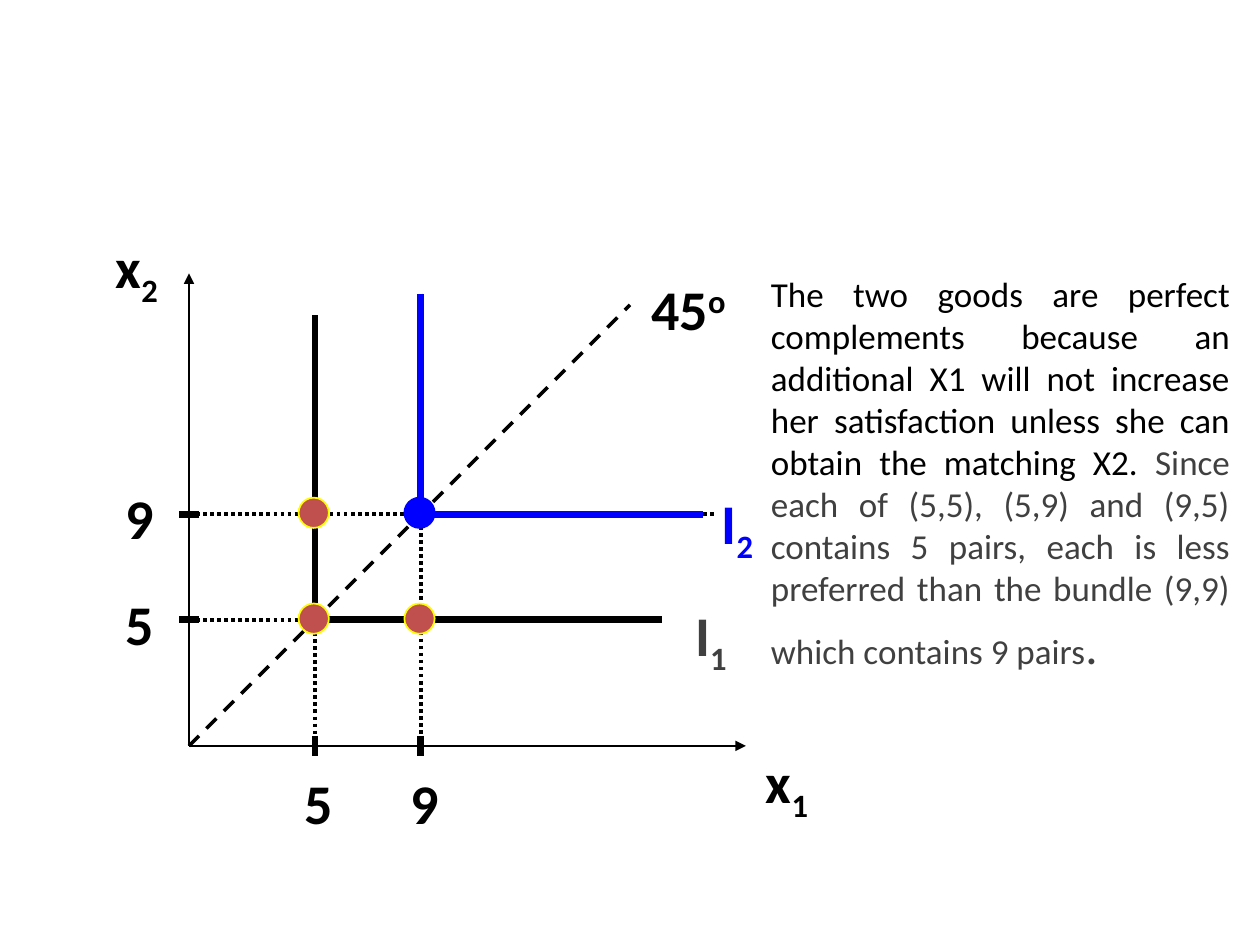
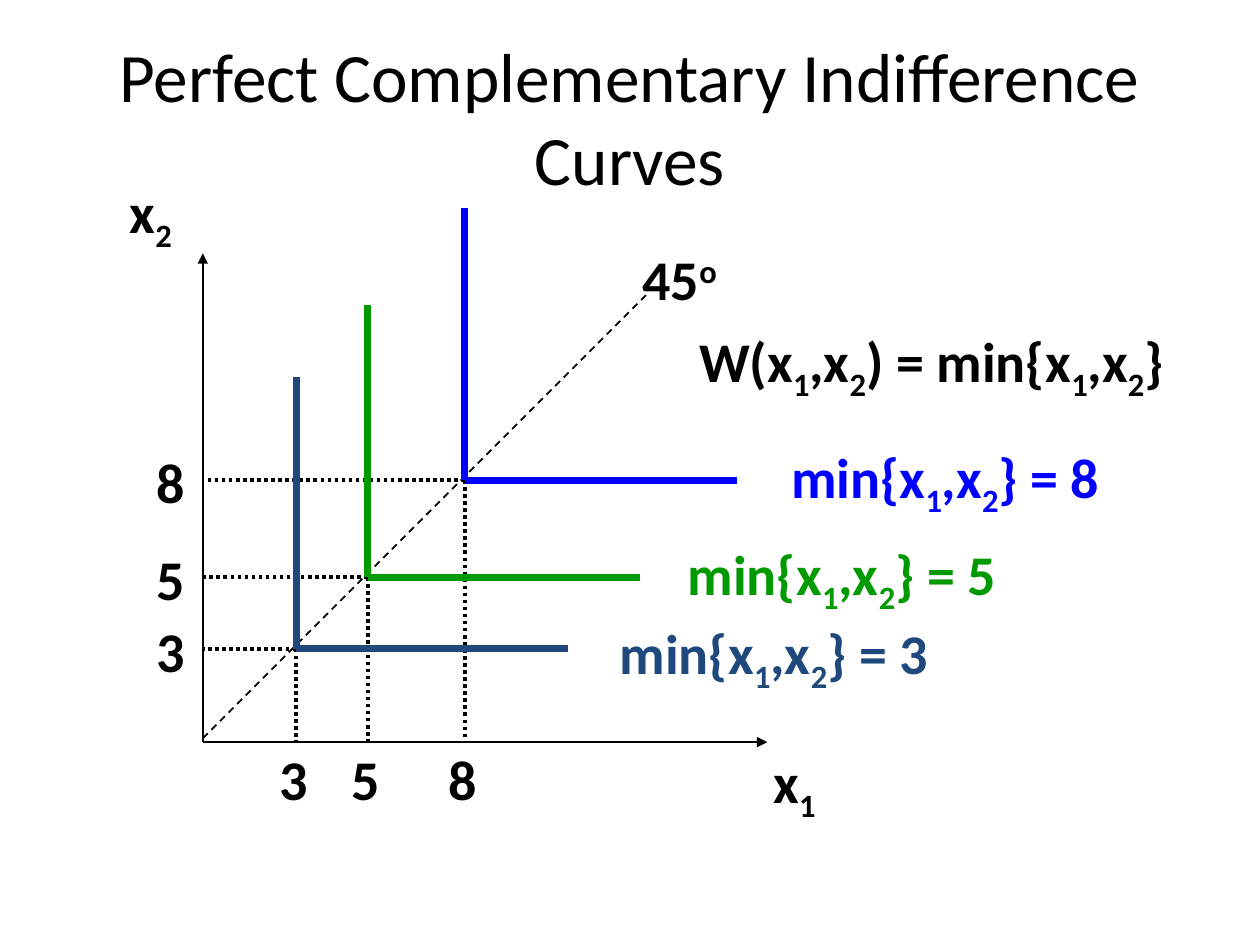
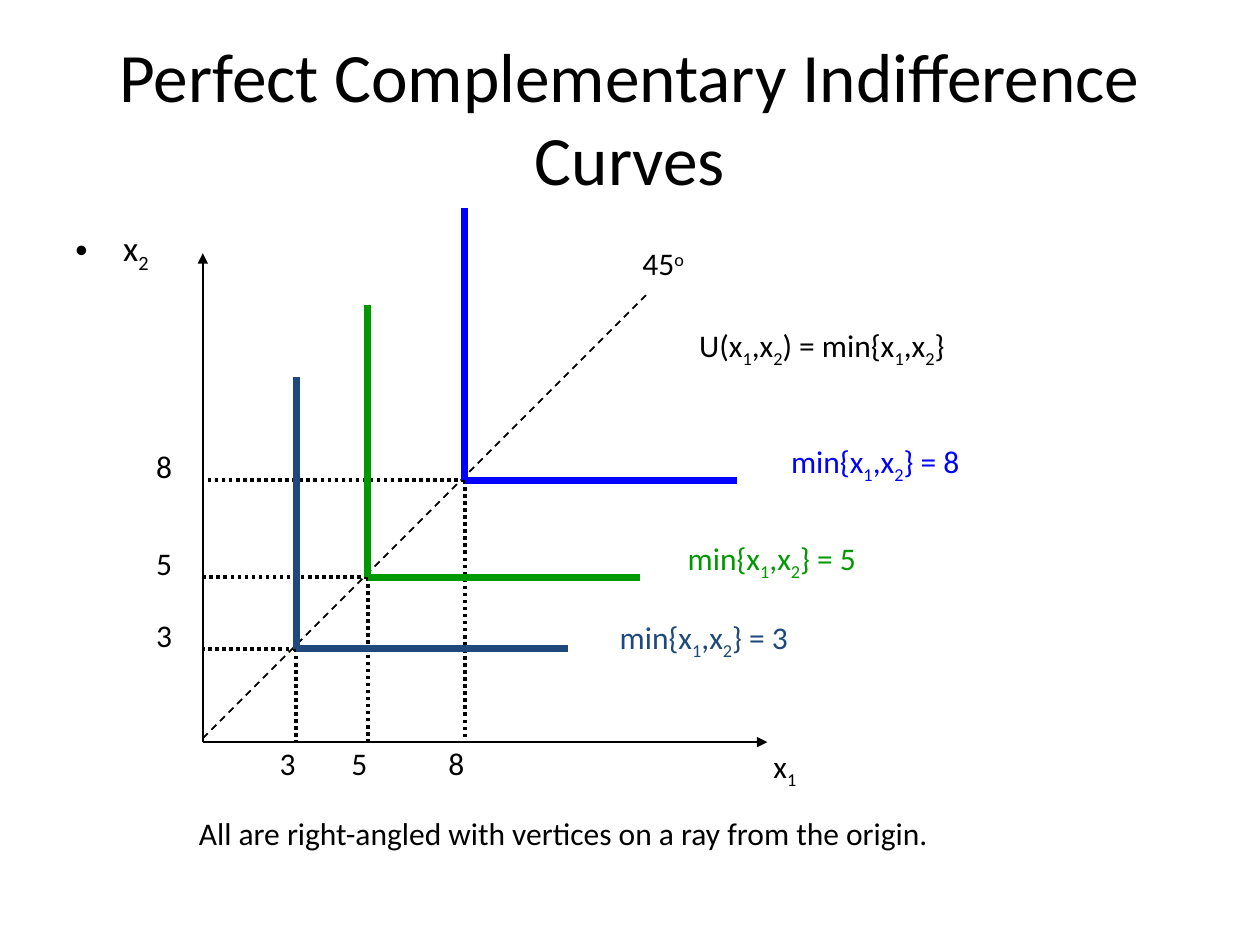
from lxml.etree import SubElement
from pptx import Presentation
from pptx.dml.color import RGBColor
from pptx.enum.dml import MSO_LINE
from pptx.enum.shapes import MSO_CONNECTOR, MSO_SHAPE
from pptx.enum.text import MSO_ANCHOR, MSO_AUTO_SIZE, PP_ALIGN
from pptx.oxml.ns import qn
from pptx.util import Inches, Pt

COLUMNS, ROWS = 10, 7.5
SLIDE_WIDTH, SLIDE_HEIGHT = Inches(10), Inches(7.5)
FONT = "Calibri"
COLOURS = {
    "ink": "000000",
    "grey": "404040",
    "blue": "0000FF",
    "green": "009900",
    "navy": "1F497D",
    "red": "C0504D",
    "yellow": "FFFF00",
}
SUBSCRIPT, SUPERSCRIPT = -25, 30
TITLE = "Perfect Complementary Indifference Curves"

# value, distance from the origin, colour, place of the curve's label
LEVELS = [
    (8, 2.08, "blue", (6.18, 3.46)),
    (5, 1.31, "green", (5.36, 4.23)),
    (3, 0.74, "navy", (4.82, 4.86)),
]
ARM = 2.16


def across(columns):
    return int(SLIDE_WIDTH * columns / COLUMNS)


def down(rows):
    return int(SLIDE_HEIGHT * rows / ROWS)


def rgb(name):
    return RGBColor.from_string(COLOURS[name])


def line(shapes, start, end, colour="ink", width=1, dash=None, arrow=False):
    connector = shapes.add_connector(
        MSO_CONNECTOR.STRAIGHT,
        across(start[0]), down(start[1]), across(end[0]), down(end[1]),
    )
    connector.line.color.rgb = rgb(colour)
    connector.line.width = Pt(width)
    if dash:
        connector.line.dash_style = dash
    properties = connector._element.spPr
    if arrow:
        SubElement(properties.find(qn("a:ln")), qn("a:tailEnd"), type="triangle")
    SubElement(properties, qn("a:effectLst"))


def dotted(shapes, start, end):
    line(shapes, start, end, width=2, dash=MSO_LINE.ROUND_DOT)


def text_box(shapes, place, size, wrap=True):
    box = shapes.add_textbox(
        across(place[0]), down(place[1]), across(size[0]), down(size[1])
    )
    box.text_frame.word_wrap = wrap
    return box.text_frame


def add_run(paragraph, words, size, colour="ink", bold=False, baseline=0):
    run = paragraph.add_run()
    run.text = words
    run.font.name = FONT
    run.font.size = Pt(size)
    run.font.bold = bold
    run.font.color.rgb = rgb(colour)
    if baseline:
        run._r.get_or_add_rPr().set("baseline", str(baseline * 1000))


def label(shapes, words, place, size=32, colour="ink", bold=True,
          width=0.6, height=0.63, script=SUBSCRIPT, wrap=False):
    """Every second part of words, split at |, is raised or lowered by script."""
    frame = text_box(shapes, place, (width, height), wrap)
    frame.auto_size = MSO_AUTO_SIZE.SHAPE_TO_FIT_TEXT
    paragraph = frame.paragraphs[0]
    for index, part in enumerate(words.split("|")):
        add_run(paragraph, part, size, colour, bold, script * (index % 2))
    return paragraph


def title(shapes):
    frame = text_box(shapes, (0.5, 0.3), (9, 1.25))
    frame.vertical_anchor = MSO_ANCHOR.MIDDLE
    paragraph = frame.paragraphs[0]
    paragraph.alignment = PP_ALIGN.CENTER
    add_run(paragraph, TITLE, 39.6)


def bullet(paragraph, indent, space_before):
    paragraph.space_before = Pt(space_before)
    properties = paragraph._p.get_or_add_pPr()
    properties.set("marL", str(across(indent)))
    properties.set("indent", str(-across(indent)))
    SubElement(properties, qn("a:buFont"), typeface="Arial")
    SubElement(properties, qn("a:buChar"), char="•")


def axes(shapes, origin, top, right):
    line(shapes, origin, (origin[0], top), arrow=True)
    line(shapes, origin, (right, origin[1]), arrow=True)


def right_angle_curve(shapes, vertex, top, right, colour):
    arms = shapes.add_group_shape().shapes
    line(arms, vertex, (vertex[0], top), colour, 4)
    line(arms, vertex, (right, vertex[1]), colour, 4)


def bundle(shapes, centre, fill, outline):
    diameter = 0.24
    dot = shapes.add_shape(
        MSO_SHAPE.OVAL,
        across(centre[0] - diameter / 2), down(centre[1] - diameter / 2),
        across(diameter), down(diameter),
    )
    dot.shadow.inherit = False
    dot.fill.solid()
    dot.fill.fore_color.rgb = rgb(fill)
    dot.line.color.rgb = rgb(outline)
    dot.line.width = Pt(1)


def explanation(shapes):
    frame = text_box(shapes, (6.02, 2.11), (3.84, 3.33))
    paragraph = frame.paragraphs[0]
    paragraph.alignment = PP_ALIGN.JUSTIFY
    add_run(paragraph, "The two goods are perfect complements because an "
            "additional X1 will not increase her satisfaction unless she can "
            "obtain the matching X2. ", 20)
    add_run(paragraph, "Since each of (5,5), (5,9) and (9,5) contains 5 pairs, "
            "each is less preferred than the bundle (9,9) which contains "
            "9 pairs", 20, "grey")
    add_run(paragraph, ".", 28, "grey")
    add_run(paragraph, " ", 32, "grey")


def bundles_slide(shapes):
    left, base = origin = (1.5, 5.92)
    reach = {5: 1, 9: 1.84}
    x = {value: left + distance for value, distance in reach.items()}
    y = {value: base - distance for value, distance in reach.items()}
    tick = 0.08

    axes(shapes, origin, 2.17, 5.92)
    label(shapes, "x|2", (0.82, 1.8))
    label(shapes, "x|1", (5.98, 5.88))
    line(shapes, origin, (5, 2.42), width=2, dash=MSO_LINE.DASH)
    label(shapes, "45|o", (5.07, 2.13), width=0.88, script=SUPERSCRIPT)
    for value, top, right in ((5, 2.5, 5.25), (9, 2.33, 5.67)):
        line(shapes, (x[value], base - tick), (x[value], base + tick), width=4)
        line(shapes, (left + tick, y[value]), (left - tick, y[value]), width=4)
        dotted(shapes, (x[value], top), (x[value], base))
        dotted(shapes, (left, y[value]), (right, y[value]))
        label(shapes, str(value), (x[value] - 0.18, 6.05), width=0.45)
        label(shapes, str(value), (0.9, y[value] - 0.29), width=0.45)

    right_angle_curve(shapes, (x[5], y[5]), 2.5, 5.25, "ink")
    for first, second in ((5, 9), (5, 5), (9, 5)):
        bundle(shapes, (x[first] - 0.01, y[second] - 0.01), "red", "yellow")
    right_angle_curve(shapes, (x[9], y[9]), 2.33, 5.58, "blue")
    bundle(shapes, (x[9] - 0.01, y[9] - 0.01), "blue", "blue")
    label(shapes, "I|2", (5.63, 3.83), colour="blue", wrap=True)
    label(shapes, "I|1", (5.42, 4.72), colour="grey", wrap=True)
    explanation(shapes)


def curves_slide(shapes, function, size, bold, function_size):
    left, base = origin = (1.61, 5.89)
    style = {"size": size, "bold": bold}

    title(shapes)
    axes(shapes, origin, 2.01, 6.09)
    label(shapes, "x|1", (6.04, 5.88), **style)
    line(shapes, (left, 5.86), (5.13, 2.34), dash=MSO_LINE.DASH)
    label(shapes, "45|o", (5, 1.89), width=0.88, script=SUPERSCRIPT, **style)
    vertices = [(left + reach, base - reach) for _, reach, _, _ in LEVELS]
    for x, y in vertices:
        dotted(shapes, (x, y), (left, y))
        dotted(shapes, (x, y), (x, base))
    for (value, _, colour, place), (x, y) in zip(LEVELS, vertices):
        right_angle_curve(shapes, (x, y), y - ARM, x + ARM, colour)
        label(shapes, f"min{{x|1|,x|2|}} = {value}", place, colour=colour,
              width=3.03, **style)
        label(shapes, str(value), (x - 0.23, 5.86), width=0.45, **style)
        label(shapes, str(value), (1.14, y - 0.31), width=0.45, **style)
    label(shapes, f"{function}(x|1|,x|2|) = min{{x|1|,x|2|}}", (5.45, 2.54),
          width=function_size[0], height=function_size[1], **style)


def main():
    deck = Presentation()
    deck.slide_width, deck.slide_height = SLIDE_WIDTH, SLIDE_HEIGHT
    blank = deck.slide_layouts[6]
    bundles, welfare, utility = (
        deck.slides.add_slide(blank).shapes for _ in range(3)
    )

    bundles_slide(bundles)

    curves_slide(welfare, "W", 32, True, (4.44, 0.63))
    label(welfare, "x|2", (0.93, 1.36))

    curves_slide(utility, "U", 18, False, (2.21, 0.4))
    vertical_axis = label(utility, "x|2", (0.5, 1.75), 20, bold=False,
                          width=0.8, height=0.44)
    bullet(vertical_axis, 0.38, 4)
    label(utility, "All are right-angled with vertices on a ray from the origin.",
          (1.48, 6.41), 18, bold=False, width=6.95, height=0.4, wrap=True)

    deck.save("out.pptx")


if __name__ == "__main__":
    main()
